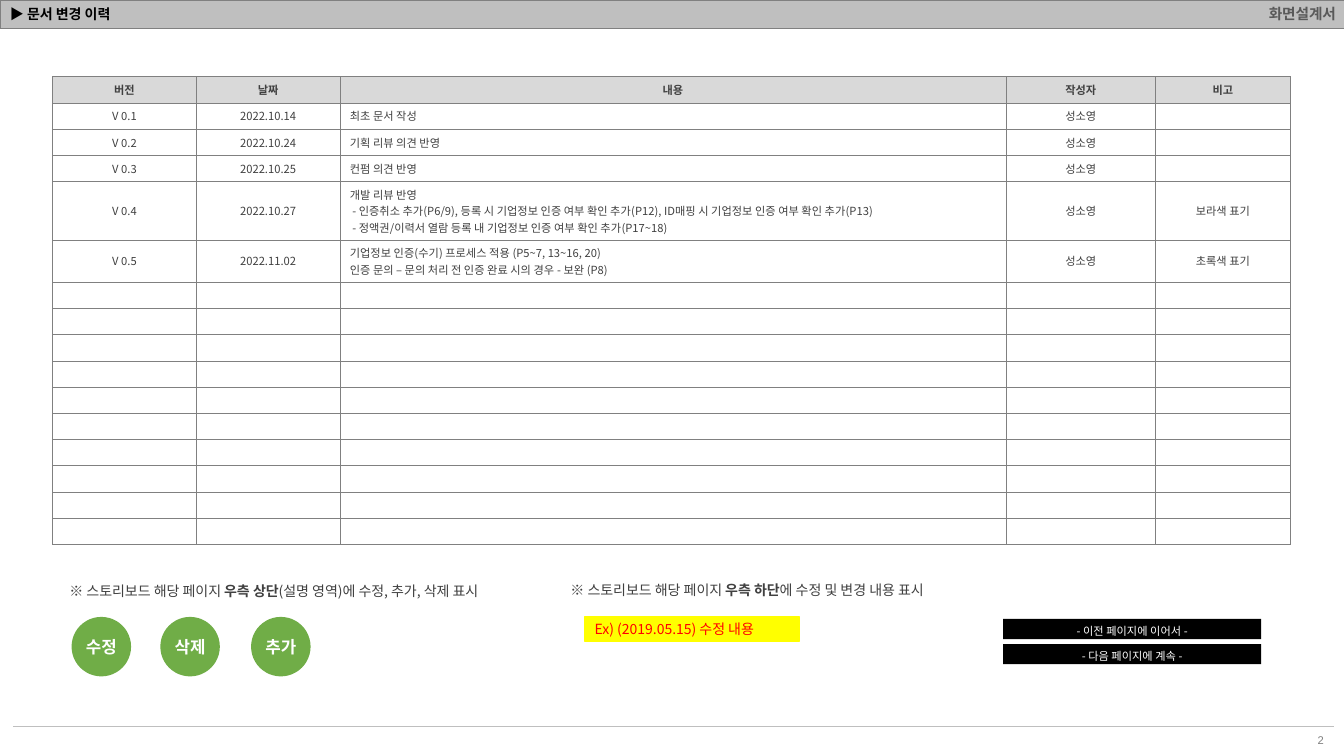
import pptx
import pptx.util
import pptx.dml.color
import pptx.enum.shapes
import pptx.enum.text
import pptx.oxml.ns
from lxml import etree

Inches, Pt = pptx.util.Inches, pptx.util.Pt
RGB = pptx.dml.color.RGBColor
SHAPE = pptx.enum.shapes.MSO_SHAPE
ALIGN = pptx.enum.text.PP_ALIGN
ANCHOR = pptx.enum.text.MSO_ANCHOR
FIT = pptx.enum.text.MSO_AUTO_SIZE
qn = pptx.oxml.ns.qn

BLACK = RGB(0x00, 0x00, 0x00)
WHITE = RGB(0xFF, 0xFF, 0xFF)
TEXT = RGB(0x40, 0x40, 0x40)
DARK = RGB(0x59, 0x59, 0x59)
GRID = RGB(0x80, 0x80, 0x80)
BAR = RGB(0xBF, 0xBF, 0xBF)
HEAD = RGB(0xD9, 0xD9, 0xD9)
GREEN = RGB(0x70, 0xAD, 0x47)
YELLOW = RGB(0xFF, 0xFF, 0x00)
RED = RGB(0xFF, 0x00, 0x00)

KOREAN = "Noto Sans CJK KR"
COLUMNS = [1.43, 1.42, 6.61, 1.48, 1.34]
HEADINGS = ["버전", "날짜", "내용", "작성자", "비고"]
AUTHOR = "성소영"
HISTORY = [
    ["V 0.1", "2022.10.14", "최초 문서 작성", AUTHOR, ""],
    ["V 0.2", "2022.10.24", "기획 리뷰 의견 반영", AUTHOR, ""],
    ["V 0.3", "2022.10.25", "컨펌 의견 반영", AUTHOR, ""],
    ["V 0.4", "2022.10.27",
     "개발 리뷰 반영\n"
     " - 인증취소 추가(P6/9), 등록 시 기업정보 인증 여부 확인 추가(P12), "
     "ID매핑 시 기업정보 인증 여부 확인 추가(P13)\n"
     " - 정액권/이력서 열람 등록 내 기업정보 인증 여부 확인 추가(P17~18)",
     AUTHOR, "보라색 표기"],
    ["V 0.5", "2022.11.02",
     "기업정보 인증(수기) 프로세스 적용 (P5~7, 13~16, 20)\n"
     "인증 문의 – 문의 처리 전 인증 완료 시의 경우 - 보완 (P8)",
     AUTHOR, "초록색 표기"],
]
EMPTY_ROWS = 10


def assign(obj, values):
    for name, value in values.items():
        setattr(obj, name, value)


def margins(left, top):
    return {"margin_left": Inches(left), "margin_right": Inches(left),
            "margin_top": Inches(top), "margin_bottom": Inches(top)}


class SlideBuilder:
    def __init__(self, slide, font):
        self.s = slide
        self.font = font

    def fill_text(self, tf, text, size, color, bold=False, align=ALIGN.LEFT,
                  font=None, **para):
        """Fill a text frame; lines split at newlines, ** toggles bold."""
        font = font or self.font
        for i, line in enumerate(text.split("\n")):
            p = tf.paragraphs[0] if i == 0 else tf.add_paragraph()
            assign(p, {"alignment": align, **para})
            if not line:
                end = etree.SubElement(p._p, qn("a:endParaRPr"), sz=str(size * 100))
                for tag in ("a:latin", "a:ea"):
                    etree.SubElement(end, qn(tag), typeface=font)
                continue
            for j, part in enumerate(line.split("**")):
                r = p.add_run()
                r.text = part
                assign(r.font, {"name": font, "size": Pt(size),
                                "bold": bold or j % 2 == 1})
                r.font.color.rgb = color
                ea = etree.Element(qn("a:ea"), typeface=font)
                r.font._element.find(qn("a:latin")).addnext(ea)

    def text(self, box, text, size, color, frame=None, **style):
        sp = self.s.shapes.add_textbox(*map(Inches, box))
        assign(sp.text_frame, {"word_wrap": True, **(frame or {})})
        self.fill_text(sp.text_frame, text, size, color, **style)

    def shape(self, kind, box, fill, text, size, color, line=None, frame=None, **style):
        sp = self.s.shapes.add_shape(kind, *map(Inches, box))
        sp.shadow.inherit = False
        sp.fill.solid()
        sp.fill.fore_color.rgb = fill
        if line is None:
            sp.line.fill.background()
        else:
            sp.line.color.rgb = line
            sp.line.width = Pt(1)
        assign(sp.text_frame, {"vertical_anchor": ANCHOR.MIDDLE, **(frame or {})})
        self.fill_text(sp.text_frame, text, size, color, **style)

    def line(self, x1, y1, x2, y2, color, width):
        c = self.s.shapes.add_connector(pptx.enum.shapes.MSO_CONNECTOR.STRAIGHT,
                                        *map(Inches, (x1, y1, x2, y2)))
        c.line.color.rgb = color
        c.line.width = Pt(width)
        etree.SubElement(c._element.spPr, qn("a:effectLst"))

    def table(self, left, top, widths, heights):
        box = map(Inches, (left, top, sum(widths), sum(heights)))
        table = self.s.shapes.add_table(len(heights), len(widths), *box).table
        assign(table, {"first_row": False, "horz_banding": False})
        for col, width in zip(table.columns, widths):
            col.width = Inches(width)
        for row, height in zip(table.rows, heights):
            row.height = Inches(height)
        return table

    def cell(self, cell, text, fill, size, color, frame=None, **style):
        assign(cell, {"vertical_anchor": ANCHOR.MIDDLE, **(frame or {})})
        cell.fill.solid()
        cell.fill.fore_color.rgb = fill
        tc_pr = cell._tc.get_or_add_tcPr()
        for i, side in enumerate(("lnL", "lnR", "lnT", "lnB")):
            ln = etree.Element(qn(f"a:{side}"), w=str(Pt(0.25)))
            solid = etree.SubElement(ln, qn("a:solidFill"))
            etree.SubElement(solid, qn("a:srgbClr"), val=str(GRID))
            tc_pr.insert(i, ln)
        self.fill_text(cell.text_frame, text, size, color, **style)


def add_history(b):
    rows = [HEADINGS] + HISTORY + [[""] * len(COLUMNS)] * EMPTY_ROWS
    heights = [0.1 + 0.16 * (row[2].count("\n") + 1) for row in rows]
    table = b.table(0.52, 0.76, COLUMNS, heights)
    for i, row in enumerate(rows):
        for j, text in enumerate(row):
            left = i > 0 and j == 2
            b.cell(table.cell(i, j), text, WHITE if i else HEAD, 8, TEXT,
                   bold=i == 0, align=ALIGN.LEFT if left else ALIGN.CENTER)


def main():
    prs = pptx.Presentation()
    assign(prs, {"slide_width": Inches(13.33), "slide_height": Inches(7.5)})
    b = SlideBuilder(prs.slides.add_slide(prs.slide_layouts[6]), KOREAN)

    header = b.table(0, 0, [13.33], [0.28])
    b.cell(header.cell(0, 0), "화면설계서", BAR, 10.5, DARK, bold=True,
           align=ALIGN.RIGHT, font="Arial", space_before=Pt(2),
           frame=margins(0.08, 0.02))
    middle = {"vertical_anchor": ANCHOR.MIDDLE}
    b.text((12.76, 7.24, 0.47, 0.21), "2", 8, GRID, frame=middle,
           align=ALIGN.RIGHT, font="Arial")
    b.line(0.13, 7.21, 13.23, 7.21, BAR, 0.75)
    add_history(b)
    b.text((0, 0, 9.92, 0.29), "▶ 문서 변경 이력", 10, BLACK, frame=middle,
           bold=True, line_spacing=0.9)

    grow = {"word_wrap": False, "auto_size": FIT.SHAPE_TO_FIT_TEXT}
    b.text((5.56, 5.72, 4.17, 0.27),
           "※ 스토리보드 해당 페이지 **우측 하단**에 수정 및 변경 내용 표시",
           10, TEXT, frame=grow)
    b.shape(SHAPE.RECTANGLE, (5.8, 6.12, 2.13, 0.24), YELLOW,
            "Ex) (2019.05.15) 수정 내용", 10, RED, line=YELLOW)
    b.text((0.59, 5.73, 4.74, 0.27),
           "※ 스토리보드 해당 페이지 **우측 상단**(설명 영역)에 수정, 추가, 삭제 표시",
           10, TEXT, frame=grow)
    for x, label in ((0.71, "수정"), (1.59, "삭제"), (2.49, "추가")):
        b.shape(SHAPE.OVAL, (x, 6.12, 0.59, 0.59), GREEN, label, 12, WHITE,
                frame=margins(0.02, 0.05), bold=True, align=ALIGN.CENTER)
    for y, label in ((6.14, "- 이전 페이지에 이어서 -"), (6.39, "- 다음 페이지에 계속 -")):
        b.shape(SHAPE.RECTANGLE, (9.95, y, 2.56, 0.2), BLACK, label, 8, WHITE,
                frame={"word_wrap": False, "vertical_anchor": ANCHOR.TOP},
                align=ALIGN.CENTER)
    prs.save("out.pptx")


if __name__ == "__main__":
    main()
